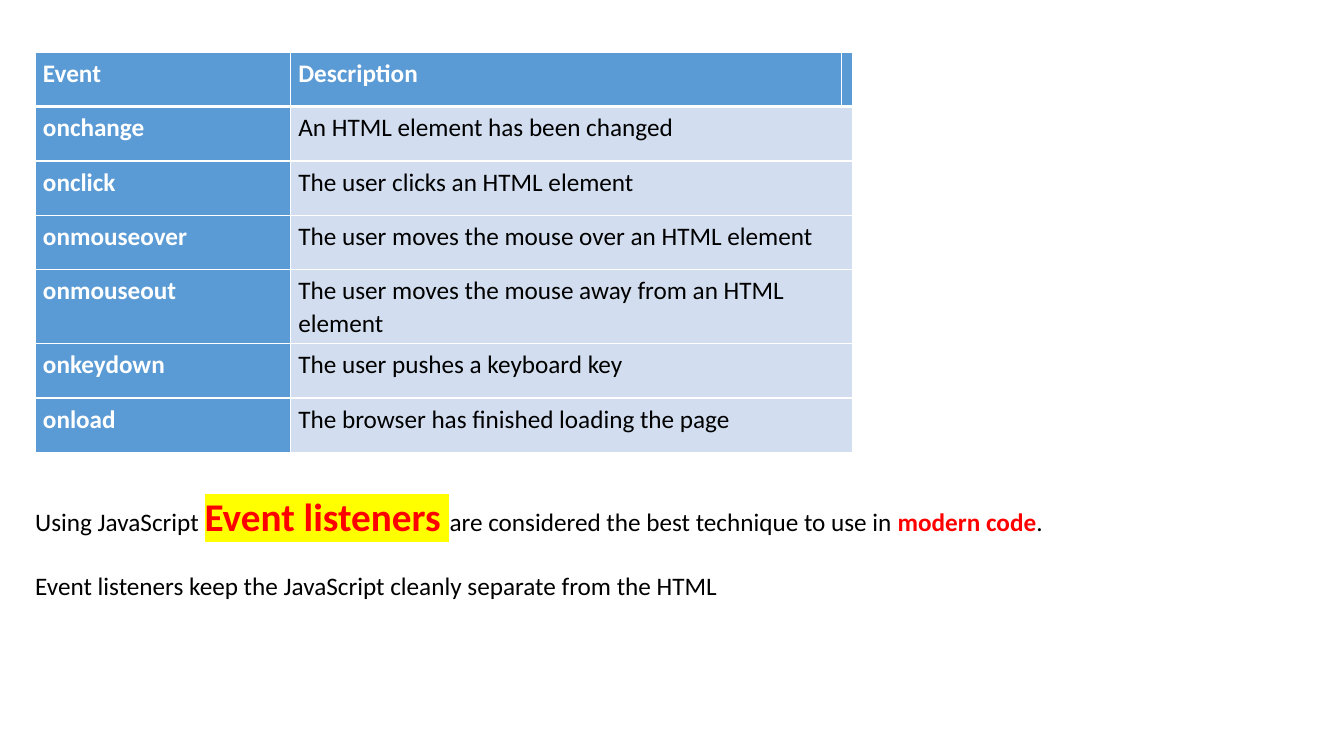
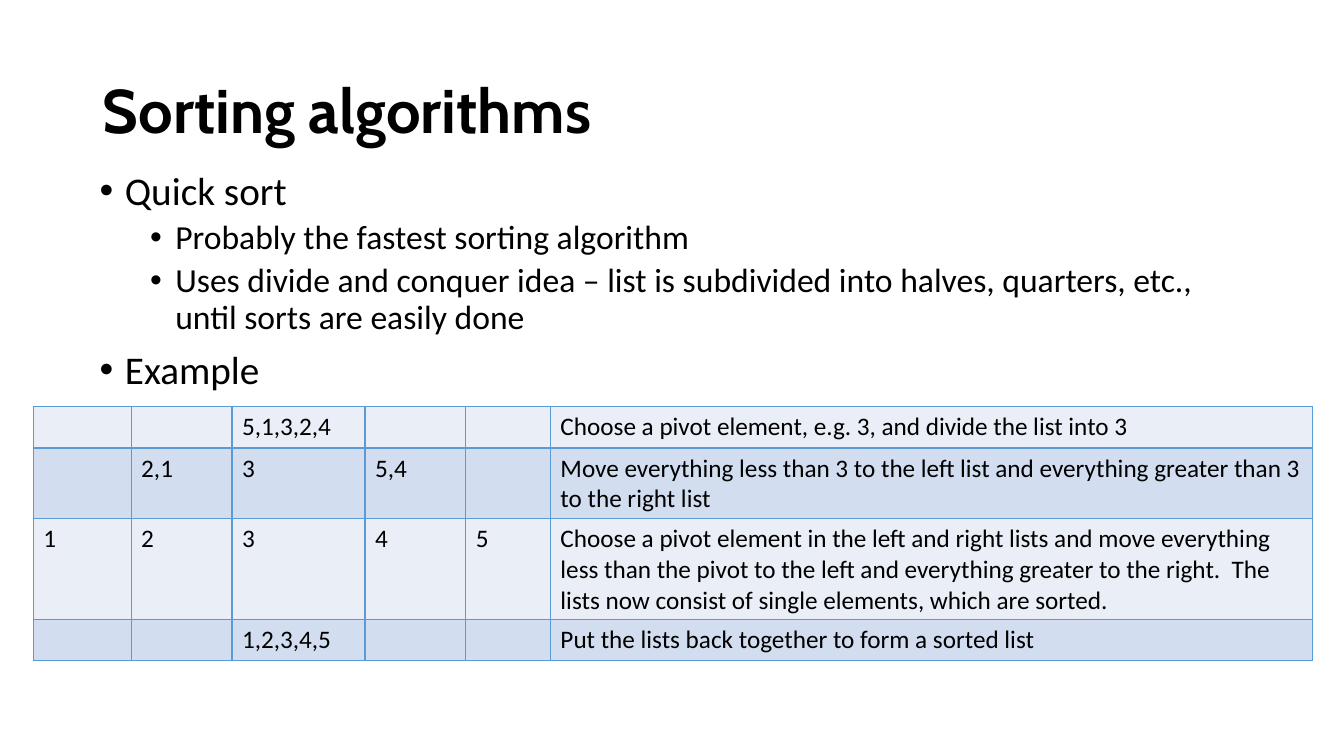
from lxml import etree
from pptx import Presentation, util as u
from pptx.dml import color
from pptx.enum import text
from pptx.oxml import ns

WIDTH, HEIGHT = 13.33, 7.5
BLUE, PALE, LIGHT = "5B9BD5", "D2DEEF", "EAEFF7"
WHITE, BLACK, RED, YELLOW = "FFFFFF", "000000", "FF0000", "FFFF00"
PLAIN = {"name": "Calibri", "size": u.Pt(18), "bold": False, "color": BLACK}
STRONG = {"bold": True, "color": RED}
HEADING = {"bold": True, "color": WHITE}
TITLE = {"name": "Cabin", "size": u.Pt(44), "bold": True}
LEVELS = (
    {"size": 28, "before": 10, "indent": 0.25},
    {"size": 24, "before": 5, "indent": 0.75},
)


def rgb(value):
    return color.RGBColor.from_string(value)


def apply(target, values):
    for name, value in values.items():
        setattr(target, name, value)


def child(parent, tag, **attributes):
    return etree.SubElement(parent, ns.qn(tag), attributes)


class Deck:
    def __init__(self):
        self.file = Presentation()
        self.file.slide_width = u.Inches(WIDTH)
        self.file.slide_height = u.Inches(HEIGHT)
        self.slide = None

    def x(self, percent):
        return u.Inches(WIDTH * percent / 100)

    def y(self, percent):
        return u.Inches(HEIGHT * percent / 100)

    def new_slide(self):
        self.slide = self.file.slides.add_slide(self.file.slide_layouts[6])

    def run(self, paragraph, words, style=None, highlight=None):
        run = paragraph.add_run()
        run.text = words
        values = {**PLAIN, **(style or {})}
        run.font.color.rgb = rgb(values.pop("color"))
        apply(run.font, values)
        if highlight:
            mark = etree.Element(ns.qn("a:highlight"))
            child(mark, "a:srgbClr", val=highlight)
            run.font._element.find(ns.qn("a:latin")).addprevious(mark)

    def box(self, left, top, width, height, anchor, paragraphs):
        frame = self.slide.shapes.add_textbox(
            self.x(left), self.y(top), self.x(width), self.y(height)).text_frame
        apply(frame, {"word_wrap": True, "vertical_anchor": anchor})
        for index, (layout, runs) in enumerate(paragraphs):
            paragraph = frame.add_paragraph() if index else frame.paragraphs[0]
            apply(paragraph, layout)
            for run in runs:
                self.run(paragraph, *run)
        return frame

    def title(self, words):
        self.box(6.9, 5.33, 86.27, 19.33, text.MSO_ANCHOR.MIDDLE,
                 [({"line_spacing": 0.9}, [(words, TITLE)])])

    def bullets(self, left, top, width, height, items):
        paragraphs = [
            ({"line_spacing": 0.9, "space_before": u.Pt(LEVELS[level]["before"])},
             [(words, {"size": u.Pt(LEVELS[level]["size"])})])
            for level, words in items]
        frame = self.box(left, top, width, height, text.MSO_ANCHOR.TOP, paragraphs)
        for paragraph, (level, _) in zip(frame.paragraphs, items):
            properties = paragraph._p.get_or_add_pPr()
            properties.set("marL", str(u.Inches(LEVELS[level]["indent"])))
            properties.set("indent", str(u.Inches(-0.25)))
            child(properties, "a:buFont", typeface="Arial")
            child(properties, "a:buChar", char="•")

    def borders(self, cell, line, widths):
        properties = cell._tc.get_or_add_tcPr()
        for side, width in zip("LRTB", widths):
            edge = child(properties, f"a:ln{side}", w=str(u.Pt(width)))
            child(child(edge, "a:solidFill"), "a:srgbClr", val=line)

    def table(self, left, top, columns, row_height, rows, look):
        table = self.slide.shapes.add_table(
            len(rows), len(columns), self.x(left), self.y(top),
            self.x(sum(columns)), self.y(row_height * len(rows))).table
        apply(table, {"first_row": False, "horz_banding": False})
        for column, width in zip(table.columns, columns):
            column.width = self.x(width)
        for r, row in enumerate(rows):
            table.rows[r].height = self.y(row_height)
            for c, words in enumerate(row):
                cell = table.cell(r, c)
                style = look(r, c)
                self.borders(cell, style["line"], style.get("widths", (1, 1, 1, 1)))
                cell.fill.solid()
                cell.fill.fore_color.rgb = rgb(style["fill"])
                side = style.get("side", 0.1) if words else 0
                edge = style.get("edge", 0.05)
                apply(cell, {"margin_left": u.Inches(side), "margin_right": u.Inches(side),
                             "margin_top": u.Inches(edge), "margin_bottom": u.Inches(edge)})
                if words:
                    paragraph = cell.text_frame.paragraphs[0]
                    paragraph.line_spacing = style.get("spacing", 1.0)
                    self.run(paragraph, words, style.get("font"))
        return table


def event_look(row, column):
    heading = row == 0 or column == 0
    return {"line": WHITE, "fill": BLUE if heading else PALE,
            "font": HEADING if heading else None,
            "widths": (1, 1, 3 if row == 1 else 1, 3 if row == 0 else 1),
            "side": 0.08, "edge": 0.04, "spacing": 1.07}


def sort_look(row, column):
    return {"line": BLUE, "fill": PALE if row % 2 else LIGHT}


def events_slide(deck):
    deck.new_slide()
    events = [
        ("Event", "Description"),
        ("onchange", "An HTML element has been changed"),
        ("onclick", "The user clicks an HTML element"),
        ("onmouseover", "The user moves the mouse over an HTML element"),
        ("onmouseout", "The user moves the mouse away from an HTML element"),
        ("onkeydown", "The user pushes a keyboard key"),
        ("onload", "The browser has finished loading the page"),
    ]
    table = deck.table(2.6, 6.9, (19, 41, 0.83), 7.2,
                       [(*event, "") for event in events], event_look)
    for row in range(1, len(events)):
        table.cell(row, 1).merge(table.cell(row, 2))
    deck.box(1.88, 64.4, 92.35, 15.73, text.MSO_ANCHOR.MIDDLE, [
        ({}, [("Using JavaScript ",),
              ("Event listeners ", {**STRONG, "size": u.Pt(28)}, YELLOW),
              ("are considered the best technique to use in ",),
              ("modern code", STRONG),
              (".",)]),
        ({"space_before": u.Pt(22)},
         [("Event listeners keep the JavaScript cleanly separate from the HTML",)]),
    ])


def sorting_slide(deck):
    deck.new_slide()
    deck.title("Sorting algorithms")
    deck.bullets(6.68, 22, 86.27, 63.47, [
        (0, "Quick sort"),
        (1, "Probably the fastest sorting algorithm"),
        (1, "Uses divide and conquer idea – list is subdivided into halves, "
            "quarters, etc., until sorts are easily done"),
        (0, "Example"),
    ])
    deck.table(2.48, 53.8, (7.28, 7.5, 9.9, 7.5, 6.3, 56.7), 5.47, [
        ("", "", "5,1,3,2,4", "", "",
         "Choose a pivot element, e.g. 3, and divide the list into 3"),
        ("", "2,1", "3", "5,4", "",
         "Move everything less than 3 to the left list and everything "
         "greater than 3 to the right list"),
        ("1", "2", "3", "4", "5",
         "Choose a pivot element in the left and right lists and move everything "
         "less than the pivot to the left and everything greater to the right.  "
         "The lists now consist of single elements, which are sorted."),
        ("", "", "1,2,3,4,5", "", "",
         "Put the lists back together to form a sorted list"),
    ], sort_look)


def main():
    deck = Deck()
    events_slide(deck)
    sorting_slide(deck)
    deck.file.save("out.pptx")


if __name__ == "__main__":
    main()
